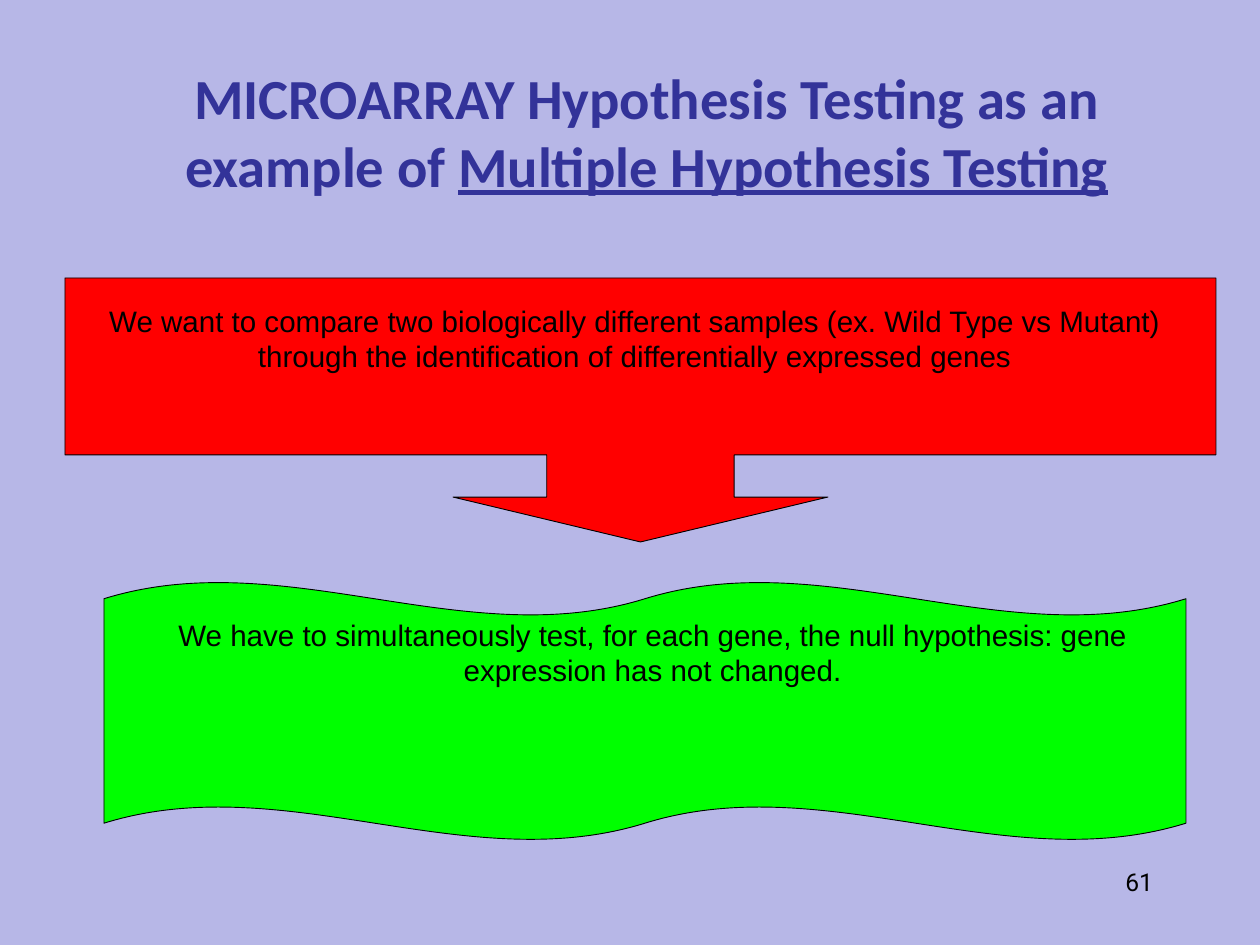
from pptx import Presentation
from pptx.dml.color import RGBColor
from pptx.enum.shapes import MSO_SHAPE
from pptx.enum.text import MSO_ANCHOR, MSO_AUTO_SIZE, PP_ALIGN
from pptx.util import Emu, Pt

DOWN_CALLOUT = MSO_SHAPE.DOWN_ARROW_CALLOUT
DOUBLE_WAVE = MSO_SHAPE.DOUBLE_WAVE
MIDDLE, TOP = MSO_ANCHOR.MIDDLE, MSO_ANCHOR.TOP
CENTER, RIGHT = PP_ALIGN.CENTER, PP_ALIGN.RIGHT
NO_AUTOFIT = MSO_AUTO_SIZE.NONE

LAVENDER = RGBColor(0xB7, 0xB7, 0xE7)
INDIGO = RGBColor(0x33, 0x33, 0x99)
RED = RGBColor(0xFF, 0x00, 0x00)
GREEN = RGBColor(0x00, 0xFF, 0x00)
BLACK = RGBColor(0x00, 0x00, 0x00)

SLIDE_SIZE = (1260, 945)
TITLE_BOX = (136, 95, 1021, 71)
TITLE_PARTS = [
    ("MICROARRAY Hypothesis Testing as an example of ", False),
    ("Multiple Hypothesis Testing", True),
]
PANELS = [
    (DOUBLE_WAVE, (104, 582, 1082, 258), (0.065, 0), GREEN),
    (DOWN_CALLOUT, (65, 278, 1151, 264), (0.71, 0.71, 0.17, 0.67), RED),
]
TEXTS = [
    ("We want to compare two biologically different samples (ex. Wild Type vs Mutant) "
     "through the identification of differentially expressed genes",
     (54, 297, 1161, 120), "Arial", 24, CENTER),
    ("We have to simultaneously test, for each gene, the null hypothesis: "
     "gene expression has not changed.",
     (124, 611, 1057, 84), "Arial", 24, CENTER),
    ("61", (903, 861, 262, 63), "Roboto", 20, RIGHT),
]
INSET_X, INSET_Y = 12, 6
EMU_PER_PX = 10320


def px(*lengths):
    return [Emu(length * EMU_PER_PX) for length in lengths]


def set_frame(frame, inset_x, inset_y, anchor):
    frame.word_wrap = True
    frame.auto_size = NO_AUTOFIT
    frame.vertical_anchor = anchor
    frame.margin_left = frame.margin_right = px(inset_x)[0]
    frame.margin_top = frame.margin_bottom = px(inset_y)[0]


def set_font(run, name, size, color, bold=False, underline=False):
    font = run.font
    font.name, font.size, font.bold, font.underline = name, Pt(size), bold, underline
    font.color.rgb = color


def add_title(slide):
    title = slide.shapes.title
    title.left, title.top, title.width, title.height = px(*TITLE_BOX)
    set_frame(title.text_frame, 0, 0, MIDDLE)
    heading = title.text_frame.paragraphs[0]
    heading.alignment = CENTER
    for words, underline in TITLE_PARTS:
        run = heading.add_run()
        run.text = words
        set_font(run, "Calibri", 46, INDIGO, True, underline)


def add_panel(slide, kind, box, adjustments, color):
    panel = slide.shapes.add_shape(kind, *px(*box))
    for index, value in enumerate(adjustments):
        panel.adjustments[index] = value
    panel.shadow.inherit = False
    panel.fill.solid()
    panel.fill.fore_color.rgb = color
    panel.line.color.rgb = BLACK
    panel.line.width = Pt(0.75)


def add_text(slide, words, box, font_name, size, alignment):
    frame = slide.shapes.add_textbox(*px(*box)).text_frame
    set_frame(frame, INSET_X, INSET_Y, TOP)
    frame.text = words
    paragraph = frame.paragraphs[0]
    paragraph.alignment = alignment
    set_font(paragraph.runs[0], font_name, size, BLACK)


def main():
    deck = Presentation()
    deck.slide_width, deck.slide_height = px(*SLIDE_SIZE)
    slide = deck.slides.add_slide(deck.slide_layouts[5])
    slide.background.fill.solid()
    slide.background.fill.fore_color.rgb = LAVENDER
    add_title(slide)
    for panel in PANELS:
        add_panel(slide, *panel)
    for text in TEXTS:
        add_text(slide, *text)
    deck.save("out.pptx")


if __name__ == "__main__":
    main()
